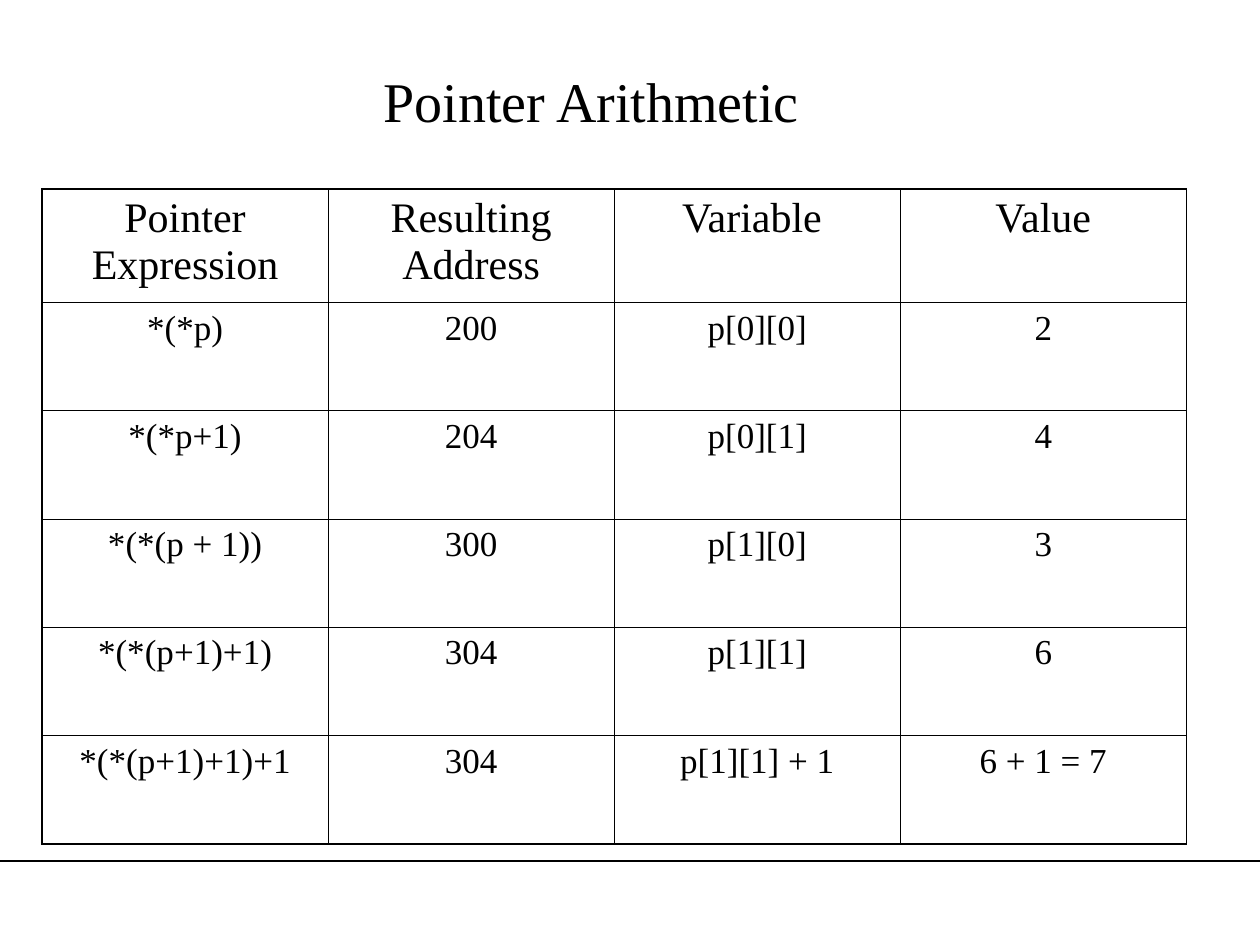
from lxml import etree
from pptx import Presentation
from pptx.dml.color import RGBColor
from pptx.enum.shapes import MSO_CONNECTOR
from pptx.enum.text import MSO_ANCHOR, PP_ALIGN
from pptx.oxml.ns import qn
from pptx.util import Pt

STRAIGHT = MSO_CONNECTOR.STRAIGHT
MIDDLE = MSO_ANCHOR.MIDDLE
CENTER = PP_ALIGN.CENTER

FONT = "Times New Roman"
BLACK = "000000"
SLIDE_WIDTH, SLIDE_HEIGHT = 720, 540
OUTER_BORDER, INNER_BORDER = 1.08, 0.45
COLUMN_WIDTH = 163.5
HEADER_HEIGHT, ROW_HEIGHT = 64.8, 61.9
HEADER_SIZE, BODY_SIZE = 24, 20

ROWS = [
    ("Pointer Expression", "Resulting Address", "Variable ", "Value"),
    ("*(*p)", "200", "p[0][0]", "2"),
    ("*(*p+1)", "204", "p[0][1]", "4"),
    ("*(*(p + 1))", "300", "p[1][0]", "3"),
    ("*(*(p+1)+1)", "304", "p[1][1]", "6"),
    ("*(*(p+1)+1)+1", "304", "p[1][1] + 1", "6 + 1 = 7"),
]


def color(hex_value):
    return RGBColor.from_string(hex_value)


def write_text(text_frame, text, size):
    text_frame.word_wrap = True
    paragraph = text_frame.paragraphs[0]
    paragraph.text = text
    paragraph.alignment = CENTER
    paragraph.font.name = FONT
    paragraph.font.size = Pt(size)
    paragraph.font.color.rgb = color(BLACK)


def add_title(slide, text):
    title = slide.shapes.add_textbox(Pt(36), Pt(18), Pt(612), Pt(78))
    title.text_frame.vertical_anchor = MIDDLE
    write_text(title.text_frame, text, 32)


def add_footer_line(slide):
    top = Pt(492)
    line = slide.shapes.add_connector(STRAIGHT, 0, top, Pt(SLIDE_WIDTH), top)
    line.line.color.rgb = color(BLACK)
    line.line.width = Pt(0.75)
    etree.SubElement(line._element.spPr, qn("a:effectLst"))


def set_borders(cell, outer_sides):
    """Draw all four sides, with a heavier line where a side is on the table's edge."""
    properties = cell._tc.get_or_add_tcPr()
    for side in "LRTB":
        width = OUTER_BORDER if side in outer_sides else INNER_BORDER
        border = etree.SubElement(properties, qn(f"a:ln{side}"), w=str(Pt(width)))
        fill = etree.SubElement(border, qn("a:solidFill"))
        etree.SubElement(fill, qn("a:srgbClr"), val=BLACK)


def add_table(slide, rows):
    row_count, column_count = len(rows), len(rows[0])
    height = HEADER_HEIGHT + ROW_HEIGHT * (row_count - 1)
    table = slide.shapes.add_table(
        row_count, column_count, Pt(24), Pt(108),
        Pt(COLUMN_WIDTH * column_count), Pt(height)).table
    table.first_row = False
    table.horz_banding = False
    for column in table.columns:
        column.width = Pt(COLUMN_WIDTH)
    for row_index, texts in enumerate(rows):
        is_header = row_index == 0
        table.rows[row_index].height = Pt(HEADER_HEIGHT if is_header else ROW_HEIGHT)
        for column_index, text in enumerate(texts):
            cell = table.cell(row_index, column_index)
            edges = {"L": column_index == 0, "R": column_index == column_count - 1,
                     "T": is_header, "B": row_index == row_count - 1}
            set_borders(cell, [side for side, on_edge in edges.items() if on_edge])
            cell.fill.background()
            write_text(cell.text_frame, text, HEADER_SIZE if is_header else BODY_SIZE)


def main():
    presentation = Presentation()
    presentation.slide_width = Pt(SLIDE_WIDTH)
    presentation.slide_height = Pt(SLIDE_HEIGHT)
    slide = presentation.slides.add_slide(presentation.slide_layouts[6])
    add_footer_line(slide)
    add_title(slide, "Pointer Arithmetic ")
    add_table(slide, ROWS)
    presentation.save("out.pptx")


if __name__ == "__main__":
    main()
